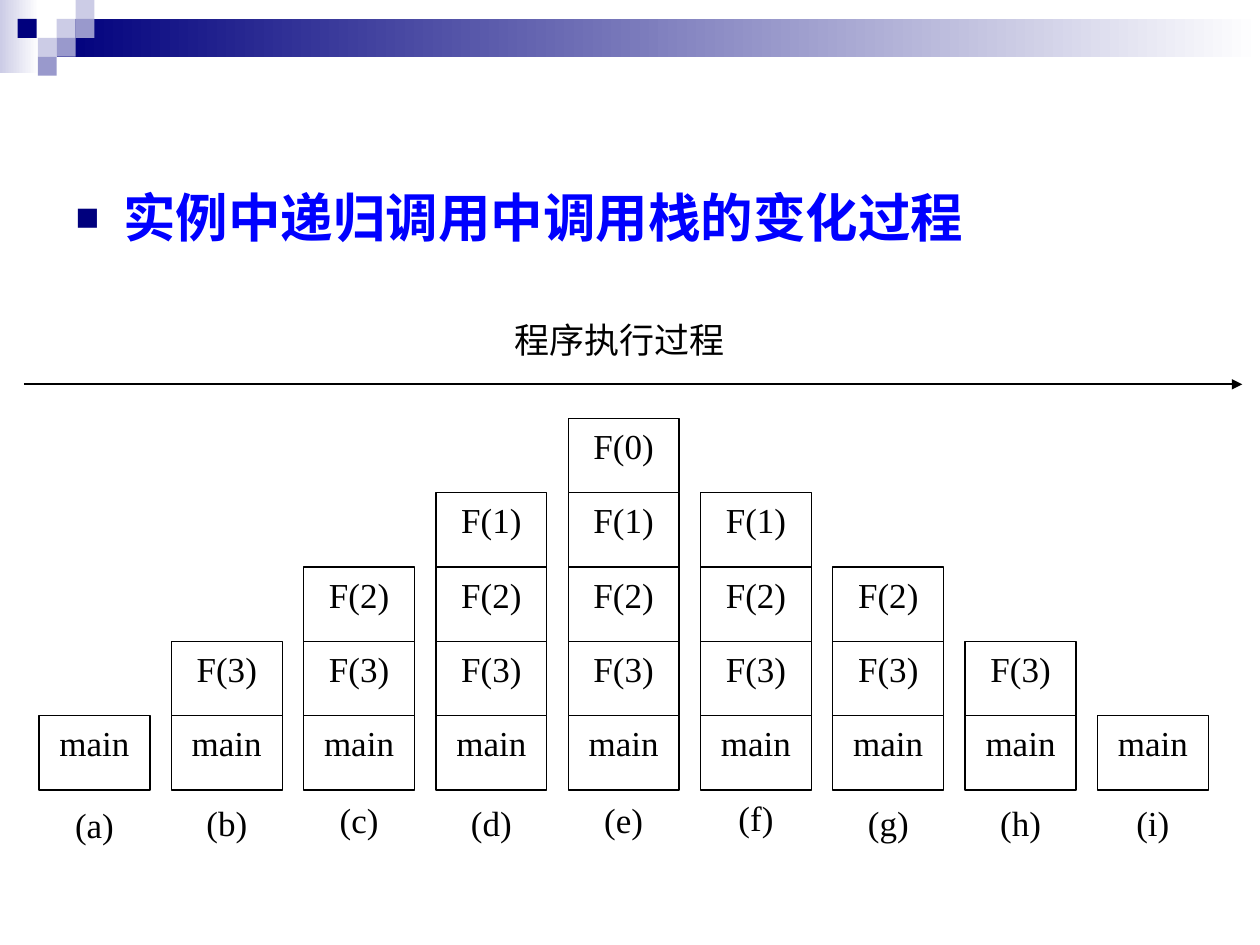
from dataclasses import dataclass

from lxml.etree import SubElement
from pptx import Presentation
from pptx.dml.color import RGBColor
from pptx.enum.shapes import MSO_CONNECTOR, MSO_SHAPE
from pptx.enum.text import MSO_ANCHOR, PP_ALIGN
from pptx.oxml.ns import qn
from pptx.util import Inches, Pt

COLORS = {"navy": "00007D", "mid": "9999CC", "pale": "CCCCE6",
          "white": "FFFFFF", "black": "000000", "blue": "0000FF"}
FRAMES = ["main", "F(3)", "F(2)", "F(1)", "F(0)"]  # bottom to top
BOX_W, BOX_H = 0.88, 0.59
LEFT, PITCH, BASE_TOP = 0.31, 1.05, 5.68
SQUARE = 0.15


@dataclass
class Stack:
    label: str
    depth: int
    label_top: float = 6.31


@dataclass
class Square:
    left: float
    top: float
    color: str


STACKS = [Stack("(a)", 1, 6.33), Stack("(b)", 2), Stack("(c)", 3, 6.29),
          Stack("(d)", 4), Stack("(e)", 5, 6.29), Stack("(f)", 4, 6.27),
          Stack("(g)", 3), Stack("(h)", 2), Stack("(i)", 1)]

SQUARES = [Square(0.45, 0.15, "pale"), Square(0.6, 0, "pale"),
           Square(0.6, 0.15, "mid"), Square(0.3, 0.3, "pale"),
           Square(0.14, 0.15, "navy"), Square(0.45, 0.3, "mid"),
           Square(0.3, 0.45, "mid")]


def rgb(name: str) -> RGBColor:
    return RGBColor.from_string(COLORS[name])


def add_rect(s, left: float, top: float, width: float, height: float):
    sp = s.shapes.add_shape(MSO_SHAPE.RECTANGLE, Inches(left), Inches(top),
                            Inches(width), Inches(height))
    sp.shadow.inherit = False
    sp.line.fill.background()
    return sp


def add_fade(s, left: float, top: float, width: float, height: float,
             color: str) -> None:
    fill = add_rect(s, left, top, width, height).fill
    fill.gradient()
    fill.gradient_angle = 0
    for stop, name in zip(fill.gradient_stops, (color, "white")):
        stop.color.rgb = rgb(name)


def write_text(sp, text: str, inset: float = 0.1) -> None:
    tf = sp.text_frame
    tf.word_wrap = True
    tf.vertical_anchor = MSO_ANCHOR.TOP
    tf.margin_left = tf.margin_right = Inches(inset)
    tf.margin_top = tf.margin_bottom = Inches(0.05)
    tf.text = text
    p = tf.paragraphs[0]
    p.alignment = PP_ALIGN.CENTER
    font = p.runs[0].font
    font.name, font.size = "Times New Roman", Pt(20)
    font.color.rgb = rgb("black")


def add_label(s, text: str, left: float, top: float, width: float) -> None:
    write_text(s.shapes.add_textbox(Inches(left), Inches(top), Inches(width),
                                    Inches(0.7)), text)


def add_stack(s, stack: Stack, left: float) -> None:
    for level, frame in enumerate(FRAMES[:stack.depth]):
        sp = add_rect(s, left, BASE_TOP - level * BOX_H, BOX_W, BOX_H)
        sp.fill.solid()
        sp.fill.fore_color.rgb = rgb("white")
        sp.line.color.rgb = rgb("black")
        sp.line.width = Pt(0.75)
        write_text(sp, frame, 0.02 if frame == "main" else 0.1)
    add_label(s, stack.label, left, stack.label_top, BOX_W)


def add_arrow(s, x1: float, x2: float, y: float) -> None:
    line = s.shapes.add_connector(MSO_CONNECTOR.STRAIGHT, Inches(x1),
                                  Inches(y), Inches(x2), Inches(y))
    line.line.color.rgb = rgb("black")
    line.line.width = Pt(1)
    SubElement(line.line._get_or_add_ln(), qn("a:tailEnd"), type="triangle")
    SubElement(line._element.spPr, qn("a:effectLst"))


def write_heading(body, text: str) -> None:
    body.left, body.top = Inches(0.5), Inches(1.42)
    body.width, body.height = Inches(9), Inches(5.33)
    body.text_frame.text = text
    p = body.text_frame.paragraphs[0]
    pPr = p._p.get_or_add_pPr()
    pPr.set("marL", str(Inches(0.38)))
    pPr.set("indent", str(Inches(-0.38)))
    color = SubElement(pPr, qn("a:buClr"))
    SubElement(color, qn("a:srgbClr"), val=COLORS["navy"])
    SubElement(pPr, qn("a:buSzPct"), val="75000")
    SubElement(pPr, qn("a:buFont"), typeface="Arial")
    SubElement(pPr, qn("a:buChar"), char="■")
    p.space_before = Pt(0)
    font = p.runs[0].font
    font.name, font.size, font.bold = "Arial", Pt(30), True
    font.color.rgb = rgb("blue")


def main() -> None:
    prs = Presentation()
    prs.slide_width, prs.slide_height = Inches(10), Inches(7.5)
    s = prs.slides.add_slide(prs.slide_layouts[1])
    title = s.shapes.title._element
    title.getparent().remove(title)

    # Header decoration
    add_fade(s, 0, 0, 0.31, 0.58, "pale")
    add_fade(s, 0.45, 0.15, 9.55, 0.3, "navy")
    for sq in SQUARES:
        sp = add_rect(s, sq.left, sq.top, SQUARE, SQUARE)
        sp.fill.solid()
        sp.fill.fore_color.rgb = rgb(sq.color)

    # Heading
    write_heading(s.placeholders[1], "实例中递归调用中调用栈的变化过程")

    # Time axis
    add_label(s, "程序执行过程", 3.91, 2.48, 2.02)
    add_arrow(s, 0.19, 9.86, 3.05)

    # Call stacks
    for i, stack in enumerate(STACKS):
        add_stack(s, stack, LEFT + i * PITCH)

    prs.save("out.pptx")


if __name__ == "__main__":
    main()
